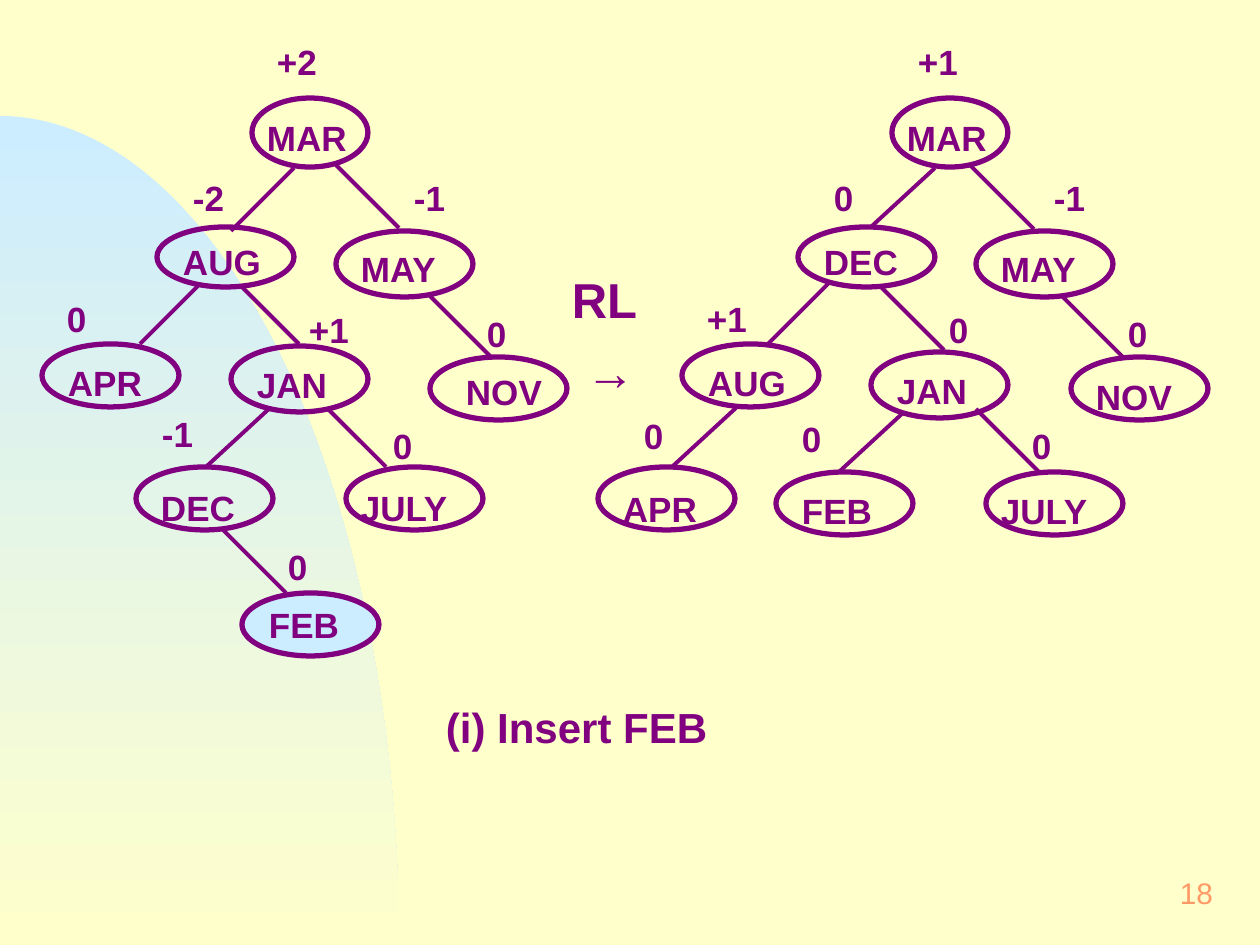
from math import cos, pi, sin

from lxml import etree
from pptx import Presentation
from pptx.dml.color import RGBColor
from pptx.enum.shapes import MSO_CONNECTOR, MSO_SHAPE
from pptx.enum.text import MSO_ANCHOR, MSO_AUTO_SIZE, PP_ALIGN
from pptx.oxml.ns import qn
from pptx.util import Pt

OVAL, LINE = MSO_SHAPE.OVAL, MSO_CONNECTOR.STRAIGHT
LEFT, RIGHT = PP_ALIGN.LEFT, PP_ALIGN.RIGHT
TOP, MIDDLE = MSO_ANCHOR.TOP, MSO_ANCHOR.MIDDLE
GROW, FIXED = MSO_AUTO_SIZE.SHAPE_TO_FIT_TEXT, MSO_AUTO_SIZE.NONE
SCALE = 914400 // 126  # EMU in one pixel
WIDE, HIGH = 1260, 945

COLORS = {"paper": "FFFFCC", "sky": "CCECFF", "ink": "800080", "page": "FF9966"}
FRAME = {"margin_left": 15, "margin_right": 15, "margin_top": 8, "margin_bottom": 8}

# Nodes: name, oval x y w h, name offset, balance, balance offset,
# edge from the child to its parent (None at the root)
BEFORE = [
    ("MAR", (210, 66, 116, 69), (0, 11), "+2", (10, -66), None),
    ("AUG", (115, 195, 137, 60), (11, 5), "-2", (21, -59), (189, 199, 252, 136)),
    ("MAY", (294, 199, 137, 66), (10, 8), "-1", (63, -63), (357, 196, 294, 133)),
    ("APR", (0, 312, 137, 63), (11, 10), "0", (10, -55), (98, 312, 156, 254)),
    ("JAN", (189, 314, 137, 66), (11, 10), "+1", (63, -46), (257, 312, 199, 254)),
    ("NOV", (388, 325, 137, 63), (21, 6), "0", (42, -52), (449, 325, 386, 262)),
    ("DEC", (94, 435, 137, 63), (10, 11), "-1", (11, -63), (165, 434, 228, 376)),
    ("JULY", (304, 435, 137, 63), (0, 11), "0", (32, -50), (344, 435, 286, 377)),
    ("FEB", (200, 561, 137, 63), (12, 3), "0", (31, -55), (244, 561, 181, 498)),
]
AFTER = [
    ("MAR", (294, 66, 116, 69), (0, 11), "+1", (11, -66), None),
    ("DEC", (200, 195, 137, 60), (11, 5), "0", (21, -59), (274, 194, 337, 136)),
    ("MAY", (378, 199, 137, 66), (10, 8), "-1", (63, -63), (436, 197, 373, 134)),
    ("AUG", (84, 312, 137, 63), (11, 10), "+1", (10, -55), (168, 314, 231, 251)),
    ("JAN", (273, 320, 137, 66), (11, 10), "0", (63, -52), (346, 318, 283, 255)),
    ("NOV", (473, 325, 137, 63), (10, 11), "0", (42, -52), (526, 326, 463, 263)),
    ("APR", (0, 435, 137, 63), (10, 12), "0", (31, -60), (75, 434, 138, 376)),
    ("FEB", (178, 440, 137, 63), (11, 10), "0", (11, -63), (242, 439, 305, 381)),
    ("JULY", (388, 440, 137, 63), (0, 10), "0", (31, -55), (441, 440, 378, 377)),
]
NAME_W = {"MAR": 136}
MARK_W = {"MAR": 105, "JAN": 94}


def px(*sizes):
    return [round(size * SCALE) for size in sizes]


def rgb(name):
    return RGBColor.from_string(COLORS[name])


def style(frame, lines, size, color="ink", bold=True, align=LEFT, gap=0):
    for key, value in FRAME.items():
        setattr(frame, key, value * SCALE)
    look = {"name": "Arial", "size": Pt(size), "bold": bold}
    frame.text = "\n".join(lines)
    for para in frame.paragraphs:
        para.alignment = align
        para.space_before = Pt(gap)
        font = para.runs[0].font
        for key, value in look.items():
            setattr(font, key, value)
        font.color.rgb = rgb(color)


def label(slide, box, lines, size, gap=5):
    frame = slide.shapes.add_textbox(*px(*box)).text_frame
    frame.word_wrap = True
    frame.auto_size = GROW
    style(frame, lines, size, gap=gap)
    return frame


def edge(slide, ends):
    link = slide.shapes.add_connector(LINE, *px(*ends))
    link.line.color.rgb = rgb("ink")
    link.line.width = Pt(2.25)
    etree.SubElement(link._element.spPr, qn("a:effectLst"))


def oval(slide, box, fill):
    shape = slide.shapes.add_shape(OVAL, *px(*box))
    shape.shadow.inherit = False
    shape.line.color.rgb = rgb("ink")
    shape.line.width = Pt(3)
    if fill:
        shape.fill.solid()
        shape.fill.fore_color.rgb = rgb(fill)
    else:
        shape.fill.background()


def tree(slide, left, top, nodes, fresh=None):
    for name, (x, y, w, h), (nx, ny), mark, (mx, my), ends in nodes:
        x, y = x + left, y + top
        if ends:
            x1, y1, x2, y2 = ends
            edge(slide, (x1 + left, y1 + top, x2 + left, y2 + top))
        oval(slide, (x, y, w, h), "sky" if name == fresh else None)
        label(slide, (x + nx, y + ny, NAME_W.get(name, 147), 58), [name], 20)
        label(slide, (x + mx, y + my, MARK_W.get(name, 147), 58), [mark], 20)


def backdrop(slide, left, top, width, height, steps=60):
    slide.background.fill.solid()
    slide.background.fill.fore_color.rgb = rgb("paper")
    base = top + height
    turns = [pi / 2 * step / steps for step in range(steps + 1)]
    rim = [px(left + width * sin(t), base - height * cos(t)) for t in turns]
    path = slide.shapes.build_freeform(*rim[0])
    path.add_line_segments(rim[1:] + [px(left, base)], close=True)
    arc = path.convert_to_shape()
    arc.shadow.inherit = False
    arc.line.fill.background()
    arc.fill.gradient()
    arc.fill.gradient_angle = 270
    for stop, name in zip(arc.fill.gradient_stops, ("sky", "paper")):
        stop.color.rgb = rgb(name)


def caption(slide, left, top, width, height):
    title = slide.shapes.title
    title.left, title.top, title.width, title.height = px(left, top, width, height)
    frame = title.text_frame
    frame.word_wrap = True
    frame.auto_size = GROW
    frame.vertical_anchor = TOP
    style(frame, ["(i) Insert FEB"], 24, gap=6)


def turn(slide, left, top, width, height):
    frame = label(slide, (left, top, width, height), ["RL", "→"], 28, gap=7)
    frame.paragraphs[1]._p.get_or_add_pPr().set("marL", str(14 * SCALE))


def number(slide, left, top, width, height):
    frame = slide.shapes.add_textbox(*px(left, top, width, height)).text_frame
    frame.word_wrap = False
    frame.auto_size = FIXED
    frame.vertical_anchor = MIDDLE
    style(frame, ["18"], 17, "page", False, RIGHT)


deck = Presentation()
deck.slide_width, deck.slide_height = px(WIDE, HIGH)
page = deck.slides.add_slide(deck.slide_layouts[5])
backdrop(page, 0, 116, 399, 829)
tree(page, 42, 32, BEFORE, fresh="FEB")
turn(page, 557, 262, 126, 146)
tree(page, 598, 32, AFTER)
caption(page, 431, 693, 346, 66)
number(page, 966, 861, 262, 63)
deck.save("out.pptx")
